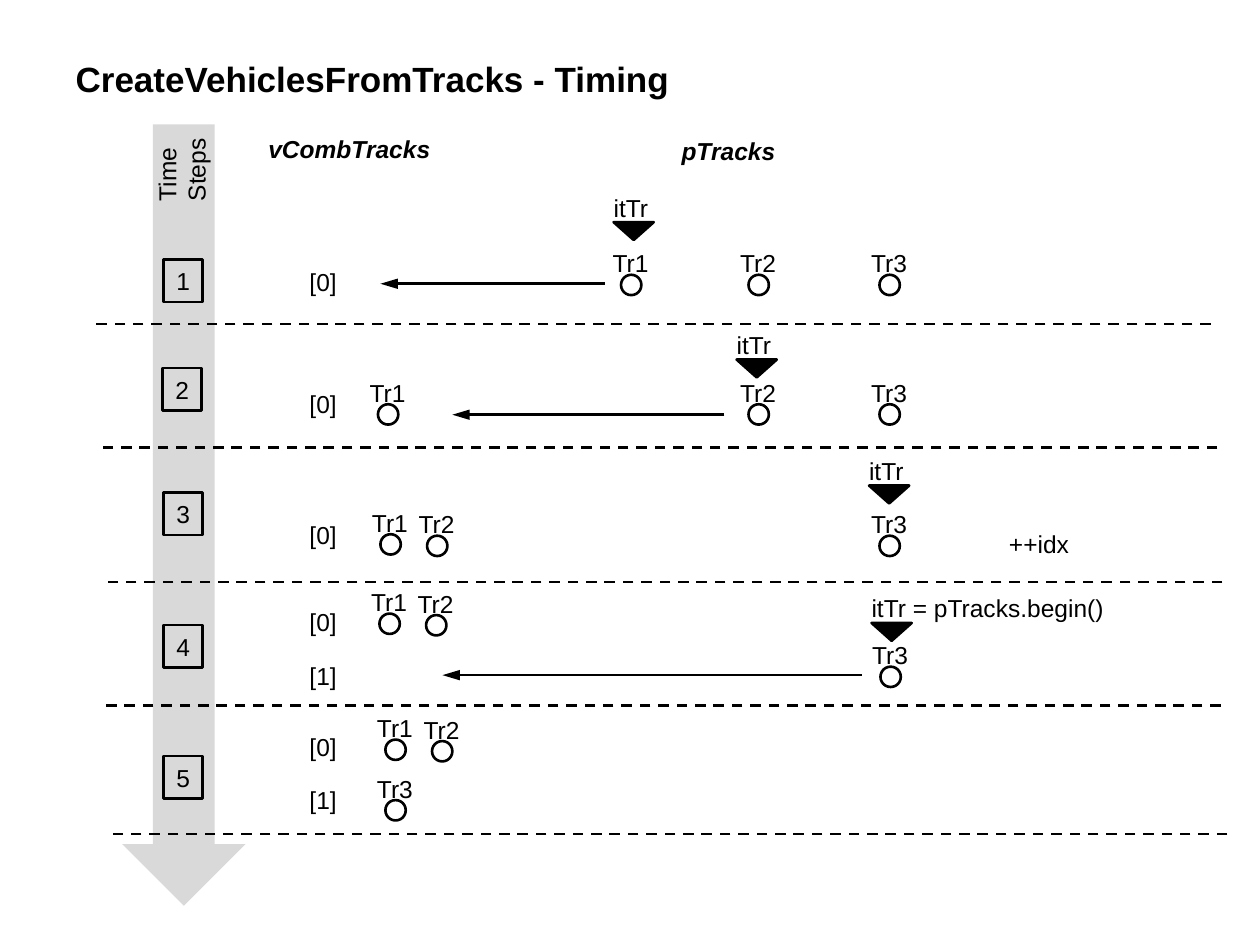
from lxml.etree import SubElement
from pptx import Presentation
from pptx.dml.color import RGBColor
from pptx.enum.dml import MSO_LINE
from pptx.enum.shapes import MSO_CONNECTOR, MSO_SHAPE
from pptx.enum.text import MSO_ANCHOR, MSO_AUTO_SIZE, PP_ALIGN
from pptx.oxml.ns import qn
from pptx.util import Cm, Pt

BLACK = RGBColor(0, 0, 0)
GRAY = RGBColor(0xD9, 0xD9, 0xD9)
TEXT_HEIGHT = 0.86
LINE_WIDTH = Pt(1.5)


def write_text(shape, text, align=PP_ALIGN.LEFT, **formats):
    """Put black Arial text into a shape that fits it without wrapping."""
    frame = shape.text_frame
    frame.word_wrap = False
    frame.auto_size = MSO_AUTO_SIZE.SHAPE_TO_FIT_TEXT
    paragraph = frame.paragraphs[0]
    paragraph.text = text
    paragraph.alignment = align
    values = {"name": "Arial", "size": Pt(14), **formats}
    for run in paragraph.runs:
        run.font.color.rgb = BLACK
        for name, value in values.items():
            setattr(run.font, name, value)


def add_figure(shapes, kind, box, fill=None, line=BLACK):
    """Add a preset shape with an optional fill and outline; box is in centimetres."""
    shape = shapes.add_shape(kind, *map(Cm, box))
    shape.shadow.inherit = False
    if fill is None:
        shape.fill.background()
    else:
        shape.fill.solid()
        shape.fill.fore_color.rgb = fill
    if line is None:
        shape.line.fill.background()
    else:
        shape.line.color.rgb = line
        shape.line.width = LINE_WIDTH
    return shape


presentation = Presentation()
presentation.slide_width = Cm(25.4)
presentation.slide_height = Cm(19.05)
slide = presentation.slides.add_slide(presentation.slide_layouts[5])

# Time arrow and title
time_arrow = add_figure(slide.shapes, MSO_SHAPE.RIGHT_ARROW, (-4.17, 9.14, 15.75, 2.49), GRAY, None)
time_arrow.rotation = 90

title = slide.shapes.title
title_box = {"left": 1.27, "top": 0.76, "width": 22.86, "height": 1.65}
for name, value in title_box.items():
    setattr(title, name, Cm(value))
write_text(title, "CreateVehiclesFromTracks - Timing", size=Pt(20), bold=True)
title.text_frame.word_wrap = True
title.text_frame.auto_size = MSO_AUTO_SIZE.NONE
title.text_frame.vertical_anchor = MSO_ANCHOR.MIDDLE

# Headings and notes: text, left, top, width, font formats
heading_format = {"bold": True, "italic": True}
labels = [
    ("vCombTracks", 5.16, 2.57, 3.78, heading_format),
    ("pTracks", 13.49, 2.62, 2.41, heading_format),
    ("++idx", 20.09, 10.54, 1.73, {}),
]
index_rows = [("[0]", 5.26), ("[0]", 7.72), ("[0]", 10.36), ("[0]", 12.12),
              ("[1]", 13.21), ("[0]", 14.63), ("[1]", 15.7)]
labels += [(text, 5.99, top, 1.07, {}) for text, top in index_rows]
for text, left, top, width, formats in labels:
    label = slide.shapes.add_textbox(Cm(left), Cm(top), Cm(width), Cm(TEXT_HEIGHT))
    write_text(label, text, **formats)

time_label = slide.shapes.add_textbox(Cm(2.77), Cm(2.69), Cm(1.78), Cm(1.45))
time_label.rotation = 270
write_text(time_label, "Time\vSteps")

# Numbered steps
step_positions = [(3.3, 5.23), (3.28, 7.42), (3.3, 9.93), (3.3, 12.6), (3.3, 15.24)]
for number, (left, top) in enumerate(step_positions, start=1):
    step = add_figure(slide.shapes, MSO_SHAPE.RECTANGLE, (left, top, 0.79, TEXT_HEIGHT))
    write_text(step, str(number), PP_ALIGN.CENTER)

# Tracks: name, left and top of the circle
tracks = [
    ("Tr1", 12.52, 5.54), ("Tr2", 15.09, 5.54), ("Tr3", 17.73, 5.54),
    ("Tr1", 7.62, 8.15), ("Tr2", 15.09, 8.15), ("Tr3", 17.73, 8.15),
    ("Tr1", 7.67, 10.77), ("Tr2", 8.61, 10.8), ("Tr3", 17.73, 10.8),
    ("Tr1", 7.65, 12.37), ("Tr2", 8.59, 12.4), ("Tr3", 17.75, 13.44),
    ("Tr1", 7.77, 14.91), ("Tr2", 8.71, 14.94), ("Tr3", 7.77, 16.13),
]
for text, left, top in tracks:
    shapes = slide.shapes.add_group_shape().shapes
    add_figure(shapes, MSO_SHAPE.OVAL, (left, top, 0.41, 0.41))
    label = shapes.add_textbox(Cm(left - 0.42), Cm(top - 0.66), Cm(1.24), Cm(TEXT_HEIGHT))
    write_text(label, text)

# Iterators: text, left, top and width of the label
iterators = [
    ("itTr", 12.12, 3.76, 1.22),
    ("itTr", 14.6, 6.53, 1.22),
    ("itTr", 17.27, 9.07, 1.22),
    ("itTr = pTracks.begin()", 17.32, 11.84, 5.21),
]
for text, left, top, width in iterators:
    shapes = slide.shapes.add_group_shape().shapes
    label = shapes.add_textbox(Cm(left), Cm(top), Cm(width), Cm(TEXT_HEIGHT))
    write_text(label, text)
    marker = add_figure(shapes, MSO_SHAPE.ISOSCELES_TRIANGLE,
                        (left + 0.25, top + 0.72, 0.81, 0.36), BLACK)
    marker.element.spPr.find(qn("a:xfrm")).set("flipV", "1")

# Lines: start, end, height on the slide
separators = [(24.41, 1.88, 6.53), (24.54, 2.01, 9.02), (24.64, 2.11, 11.73),
              (24.61, 2.06, 14.22), (24.74, 2.21, 16.81)]
move_arrows = [(12.19, 7.67, 5.72), (14.6, 9.12, 8.36), (17.37, 8.92, 13.61)]
for start, end, top in separators + move_arrows:
    connector = slide.shapes.add_connector(
        MSO_CONNECTOR.STRAIGHT, Cm(start), Cm(top), Cm(end), Cm(top))
    connector.line.color.rgb = BLACK
    connector.line.width = LINE_WIDTH
    if (start, end, top) in separators:
        connector.line.dash_style = MSO_LINE.DASH
    else:
        SubElement(connector.line._get_or_add_ln(), qn("a:tailEnd"),
                   type="triangle", w="med", len="lg")
    SubElement(connector.element.spPr, qn("a:effectLst"))

presentation.save("out.pptx")
